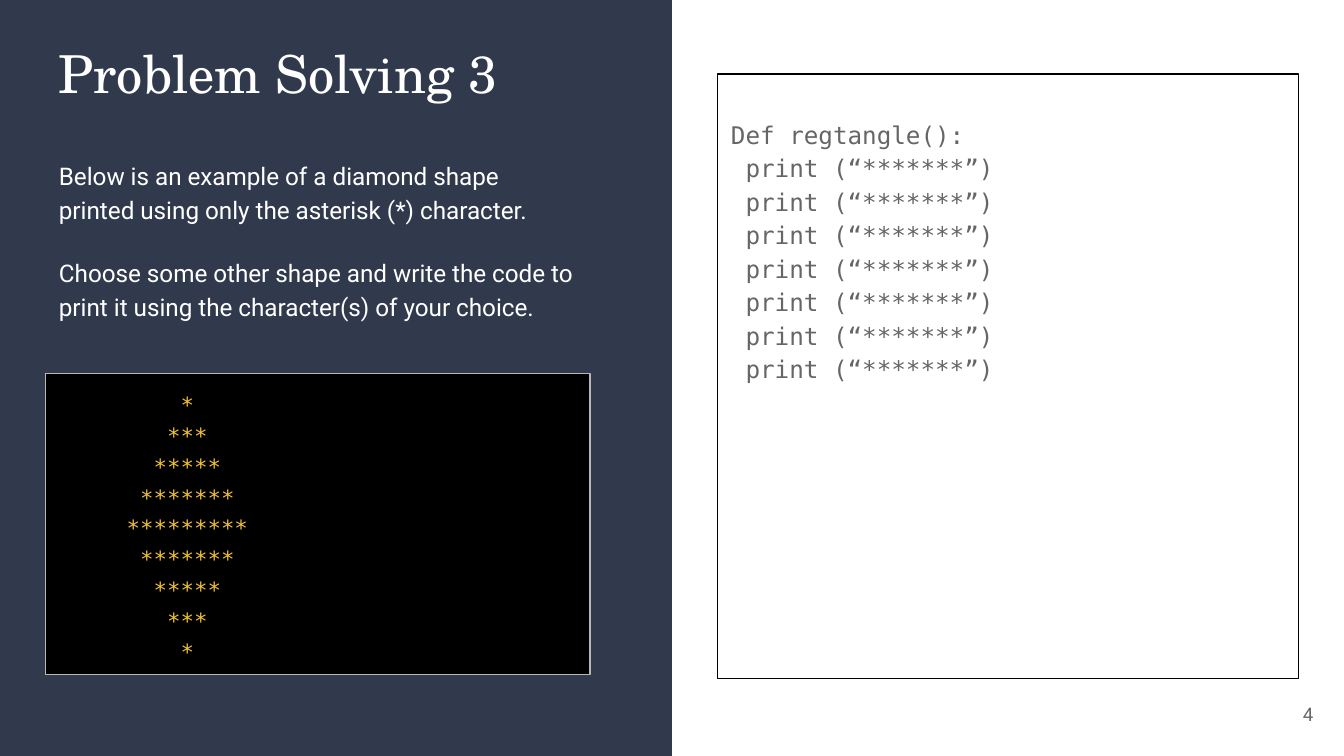
"""Build the Problem Solving 3 slide with its example and answer boxes."""
from pptx import Presentation
from pptx.dml.color import RGBColor
from pptx.enum.shapes import MSO_SHAPE as Shape
from pptx.enum.text import MSO_ANCHOR as Anchor, PP_ALIGN as Align
from pptx.util import Inches, Pt

NAVY = RGBColor(0x31, 0x39, 0x4D)
WHITE = RGBColor(0xFF, 0xFF, 0xFF)
BLACK = RGBColor(0x00, 0x00, 0x00)
SILVER = RGBColor(0xB7, 0xB7, 0xB7)
GRAY = RGBColor(0x66, 0x66, 0x66)
GOLD = RGBColor(0xF1, 0xC2, 0x32)
SERIF, SANS, MONO = "TeX Gyre Schola", "Roboto", "DejaVu Sans Mono"
WIDTH = 10
HEIGHT = WIDTH * 9 / 16
LEFT, COLUMN_WIDTH = 0.34, 4.05


def add_box(left, top, width, height, fill=None, line=None):
    shape = slide.shapes.add_shape(
        Shape.RECTANGLE, Inches(left), Inches(top), Inches(width), Inches(height))
    shape.shadow.inherit = False
    if fill is None:
        shape.fill.background()
    else:
        shape.fill.solid()
        shape.fill.fore_color.rgb = fill
    if line is None:
        shape.line.fill.background()
    else:
        shape.line.color.rgb = line
        shape.line.width = Pt(0.75)
    return shape


def write(shape, lines, font, size, color, align=Align.LEFT, anchor=Anchor.TOP,
          spacing=1.15, gap=0, inset_top=0.1, inset_right=0.1):
    frame = shape.text_frame
    frame.word_wrap = True
    frame.vertical_anchor = anchor
    frame.margin_left = frame.margin_bottom = Inches(0.1)
    frame.margin_top, frame.margin_right = Inches(inset_top), Inches(inset_right)
    for index, text in enumerate(lines):
        paragraph = frame.add_paragraph() if index else frame.paragraphs[0]
        paragraph.alignment = align
        paragraph.line_spacing = spacing
        paragraph.space_before = Pt(gap if index else 0)
        run = paragraph.add_run()
        run.text = text
        run.font.name = font
        run.font.size = Pt(size)
        run.font.color.rgb = color


presentation = Presentation()
presentation.slide_width = Inches(WIDTH)
presentation.slide_height = Inches(HEIGHT)
slide = presentation.slides.add_slide(presentation.slide_layouts[6])

add_box(0, 0, WIDTH / 2, HEIGHT, fill=NAVY)

number = slide.shapes.add_textbox(Inches(9.27), Inches(5.1), Inches(0.6), Inches(0.43))
write(number, ["4"], SANS, 10, GRAY, align=Align.RIGHT, anchor=Anchor.MIDDLE, spacing=1)

title = slide.shapes.add_textbox(
    Inches(LEFT), Inches(0.21), Inches(COLUMN_WIDTH), Inches(2.24))
write(title, ["Problem Solving 3"], SERIF, 28, WHITE, spacing=1)

answer = add_box(5.34, 0.55, 4.32, 4.5, line=BLACK)
code = ["Def regtangle():"] + [" print (“*******”)"] * 7
write(answer, code, MONO, 13, GRAY, inset_top=0.31)

task = slide.shapes.add_textbox(
    Inches(LEFT), Inches(1.07), Inches(COLUMN_WIDTH), Inches(1.42))
write(task, [
    "Below is an example of a diamond shape printed using only the asterisk (*) character.",
    "Choose some other shape and write the code to print it using the character(s) of your choice.",
], SANS, 13, WHITE, gap=16)

example = add_box(LEFT, 2.78, COLUMN_WIDTH, 2.24, fill=BLACK, line=SILVER)
diamond = ["*" * (9 - 2 * abs(row)) for row in range(-4, 5)]
write(example, diamond, MONO, 12, GOLD, align=Align.CENTER, inset_right=2.04)

presentation.save("out.pptx")
